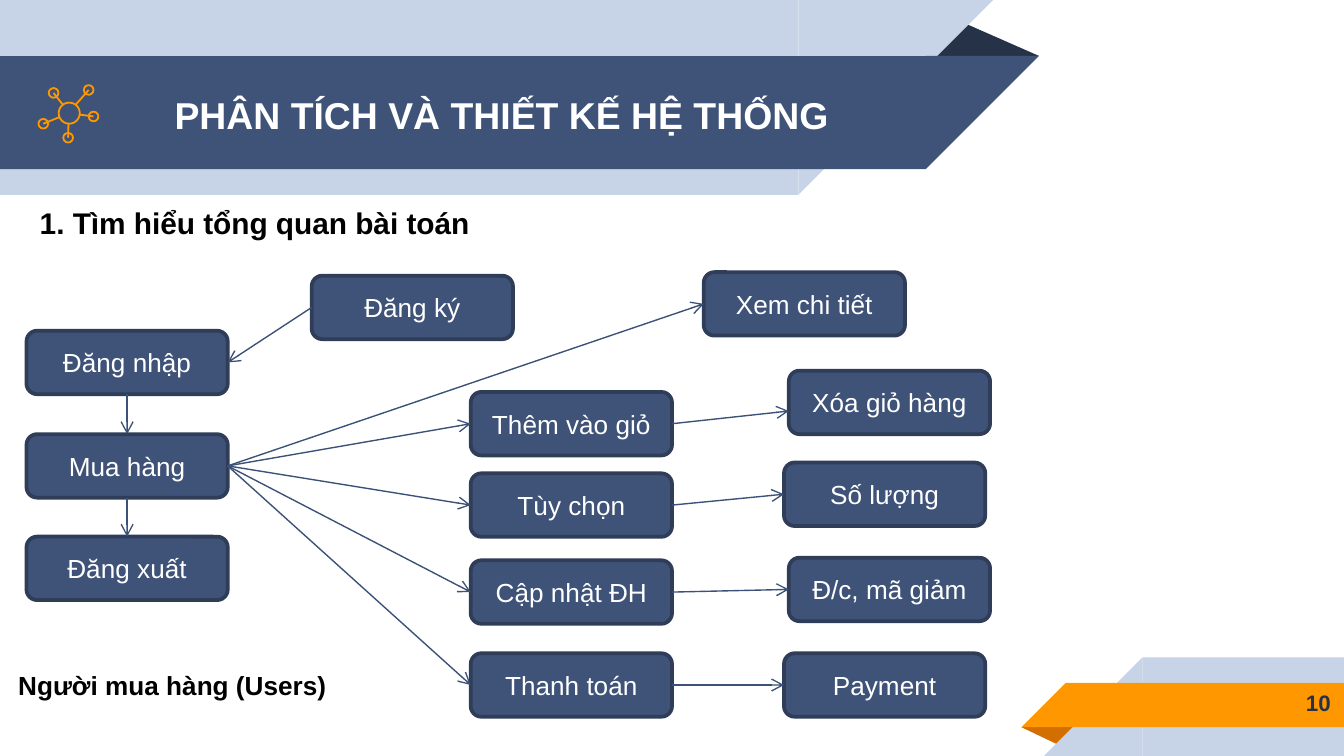
from lxml.etree import SubElement
from pptx import Presentation
from pptx.dml.color import RGBColor
from pptx.enum.shapes import MSO_CONNECTOR as Connector, MSO_SHAPE as Shape
from pptx.enum.text import MSO_ANCHOR as Anchor, MSO_AUTO_SIZE as AutoSize, PP_ALIGN as Align
from pptx.oxml.ns import qn
from pptx.util import Pt

COLORS = {
    "navy": "3F5378", "edge": "2F3D59", "arrow": "3C5177", "dark": "263248",
    "pale": "C7D3E6", "orange": "FF9800", "rust": "D26F00",
    "white": "FFFFFF", "black": "000000",
}
FONT = "Arial"
TOP, LEFT, BOTTOM, RIGHT = range(4)

RIBBONS = [
    (Shape.ISOSCELES_TRIANGLE, (495.4, 11.8, 61.2, 18.2), "dark", 0, False),
    (Shape.RECTANGLE, (0, 0, 427.6, 104.4), "pale", 180, True),
    (Shape.RIGHT_TRIANGLE, (427.6, 0, 104.4, 104.4), "pale", 180, True),
    (Shape.RECTANGLE, (0, 30, 496, 60.6), "navy", 180, True),
    (Shape.RIGHT_TRIANGLE, (496, 30, 60.6, 60.6), "navy", 180, True),
    (Shape.ISOSCELES_TRIANGLE, (547.2, 389.6, 31, 10), "rust", 180, False),
    (Shape.RECTANGLE, (612, 352.2, 108, 52.8), "pale", 0, True),
    (Shape.RIGHT_TRIANGLE, (559.2, 352.2, 52.8, 52.8), "pale", 0, True),
    (Shape.RECTANGLE, (571, 365.8, 149, 23.8), "orange", 0, True),
    (Shape.RIGHT_TRIANGLE, (547.2, 365.8, 23.8, 23.8), "orange", 0, True),
]

HUB = (37.1, 60.6, 11.3)
SATELLITE_SIZE = 5.2
SPOKES = [
    ((47.5, 48.2), (40.5, 56.2)),
    ((28.7, 49.8), (33.6, 56)),
    ((23.2, 66.3), (31.8, 62.8)),
    ((36.5, 73.8), (36.7, 66.3)),
    ((50.1, 62.4), (42.7, 61.4)),
]

TEXTS = [
    ("PHÂN TÍCH VÀ THIẾT KẾ HỆ THỐNG", (64.1, 31, 414, 60.5), 20, "white", Align.LEFT, 29.4, True),
    ("10", (602.6, 363.6, 117.4, 25.2), 12, "dark", Align.RIGHT, 7.2, True),
    ("1. Tìm hiểu tổng quan bài toán", (14.2, 106, 406, 26.6), 16, "black", Align.LEFT, 7.2, False),
    ("Người mua hàng (Users)", (2.7, 355.2, 232, 24.2), 14, "black", Align.LEFT, 7.2, False),
]

STEP_SIZE = (107.8, 34)
STEPS = {
    "Đăng nhập": (14.2, 177.2),
    "Mua hàng": (14.2, 232.6),
    "Đăng xuất": (14.2, 287.5),
    "Đăng ký": (167, 147.7),
    "Xem chi tiết": (377, 145.8),
    "Thêm vào giỏ": (252.2, 210),
    "Tùy chọn": (252.2, 253.6),
    "Cập nhật ĐH": (252.2, 300.2),
    "Thanh toán": (252.2, 350),
    "Xóa giỏ hàng": (422.6, 198.6),
    "Số lượng": (420, 247.8),
    "Đ/c, mã giảm": (422.6, 298.8),
    "Payment": (420, 350),
}
FLOWS = [
    ("Đăng ký", LEFT, "Đăng nhập", RIGHT),
    ("Đăng nhập", BOTTOM, "Mua hàng", TOP),
    ("Mua hàng", BOTTOM, "Đăng xuất", TOP),
] + [
    ("Mua hàng", RIGHT, action, LEFT)
    for action in ("Xem chi tiết", "Thêm vào giỏ", "Tùy chọn", "Cập nhật ĐH", "Thanh toán")
] + [
    ("Tùy chọn", RIGHT, "Số lượng", LEFT),
    ("Cập nhật ĐH", RIGHT, "Đ/c, mã giảm", LEFT),
    ("Thanh toán", RIGHT, "Payment", LEFT),
]
REMOVAL_END = (422.6, 220.2)


def color(name):
    return RGBColor.from_string(COLORS[name])


def add_shape(slide, kind, box, fill=None, edge=None, width=1):
    shape = slide.shapes.add_shape(kind, *map(Pt, box))
    shape.shadow.inherit = False
    if fill:
        shape.fill.solid()
        shape.fill.fore_color.rgb = color(fill)
    else:
        shape.fill.background()
    if edge:
        shape.line.color.rgb = color(edge)
        shape.line.width = Pt(width)
    else:
        shape.line.fill.background()
    return shape


def add_line(slide, start, end, ink, width, arrow=False):
    line = slide.shapes.add_connector(Connector.STRAIGHT, *map(Pt, start + end))
    line.line.color.rgb = color(ink)
    line.line.width = Pt(width)
    properties = line._element.spPr
    if arrow:
        SubElement(properties.find(qn("a:ln")), qn("a:tailEnd"), type="arrow")
    SubElement(properties, qn("a:effectLst"))
    return line


def write(frame, words, size, ink, align, bold=False):
    frame.word_wrap = True
    paragraph = frame.paragraphs[0]
    paragraph.alignment = align
    run = paragraph.add_run()
    run.text = words
    run.font.name = FONT
    run.font.size = Pt(size)
    run.font.bold = bold
    run.font.color.rgb = color(ink)


def draw_ribbons(slide):
    for kind, box, fill, turn, flipped in RIBBONS:
        ribbon = add_shape(slide, kind, box, fill)
        ribbon.rotation = turn
        if flipped:
            ribbon._element.spPr.xfrm.set("flipH", "1")
        if kind == Shape.ISOSCELES_TRIANGLE:
            ribbon.adjustments[0] = 0.324


def draw_network(slide):
    satellites = [(x, y, SATELLITE_SIZE) for (x, y), hub_end in SPOKES]
    for x, y, size in satellites + [HUB]:
        add_shape(slide, Shape.OVAL, (x - size / 2, y - size / 2, size, size), edge="orange", width=0.96)
    for start, end in SPOKES:
        add_line(slide, start, end, "orange", 0.96)


def draw_texts(slide):
    for words, box, size, ink, align, inset, centred in TEXTS:
        frame = slide.shapes.add_textbox(*map(Pt, box)).text_frame
        write(frame, words, size, ink, align, bold=True)
        frame.margin_left = Pt(inset)
        if centred:
            frame.vertical_anchor = Anchor.MIDDLE
            frame.margin_right = frame.margin_top = frame.margin_bottom = Pt(7.2)
        else:
            frame.auto_size = AutoSize.SHAPE_TO_FIT_TEXT


def draw_flow(slide):
    steps = {}
    for label, corner in STEPS.items():
        step = add_shape(slide, Shape.ROUNDED_RECTANGLE, corner + STEP_SIZE, "navy", "edge", 2)
        step.text_frame.vertical_anchor = Anchor.MIDDLE
        write(step.text_frame, label, 14, "white", Align.CENTER)
        steps[label] = step
    for source, exit_side, target, entry_side in FLOWS:
        flow = add_line(slide, (0, 0), (0, 0), "arrow", 0.75, arrow=True)
        flow.begin_connect(steps[source], exit_side)
        flow.end_connect(steps[target], entry_side)
    removal = add_line(slide, (360, 227), REMOVAL_END, "arrow", 0.75, arrow=True)
    removal.begin_connect(steps["Thêm vào giỏ"], RIGHT)


def main():
    deck = Presentation()
    deck.slide_width, deck.slide_height = Pt(720), Pt(405)
    slide = deck.slides.add_slide(deck.slide_layouts[6])
    draw_ribbons(slide)
    draw_texts(slide)
    draw_network(slide)
    draw_flow(slide)
    deck.save("out.pptx")


if __name__ == "__main__":
    main()
